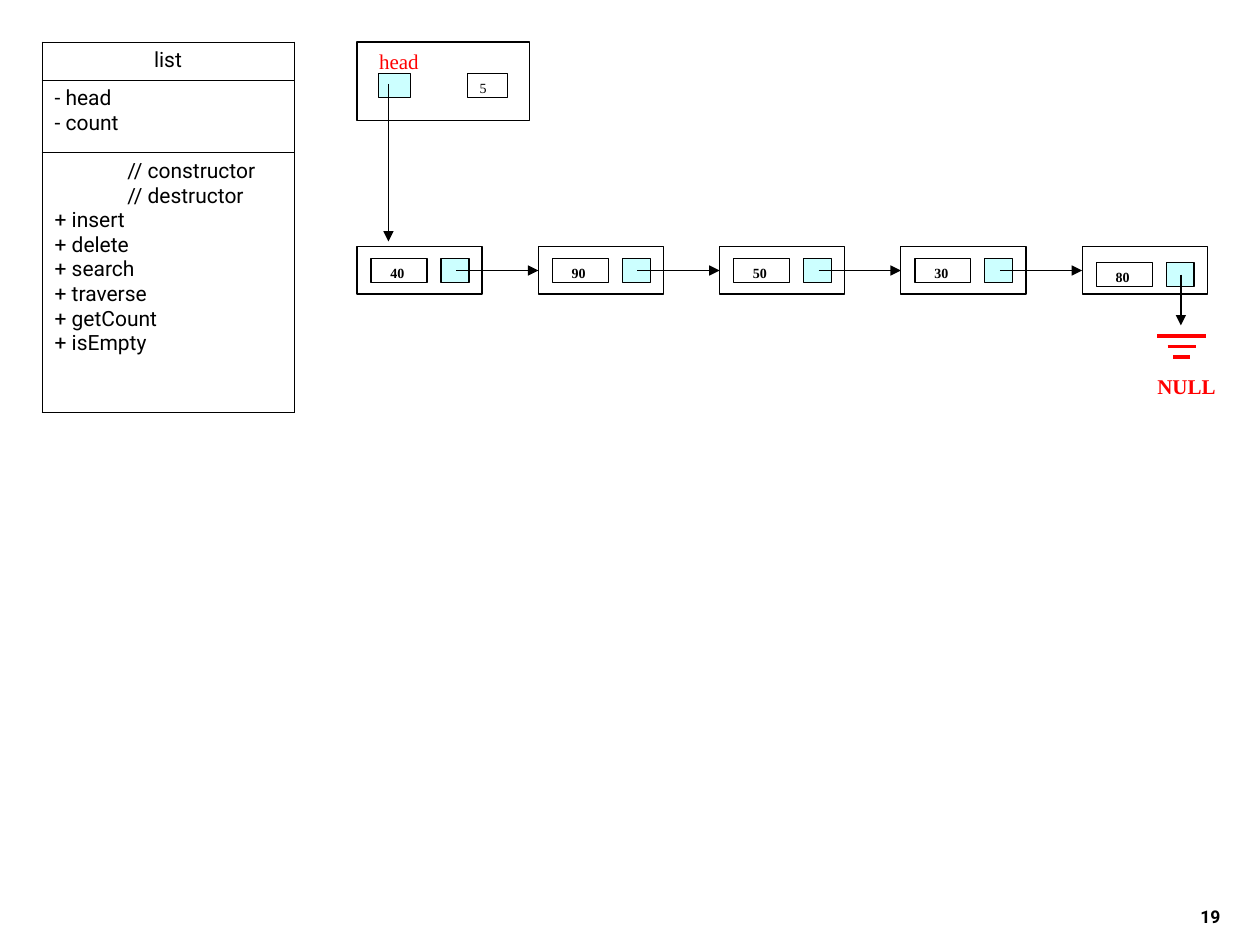
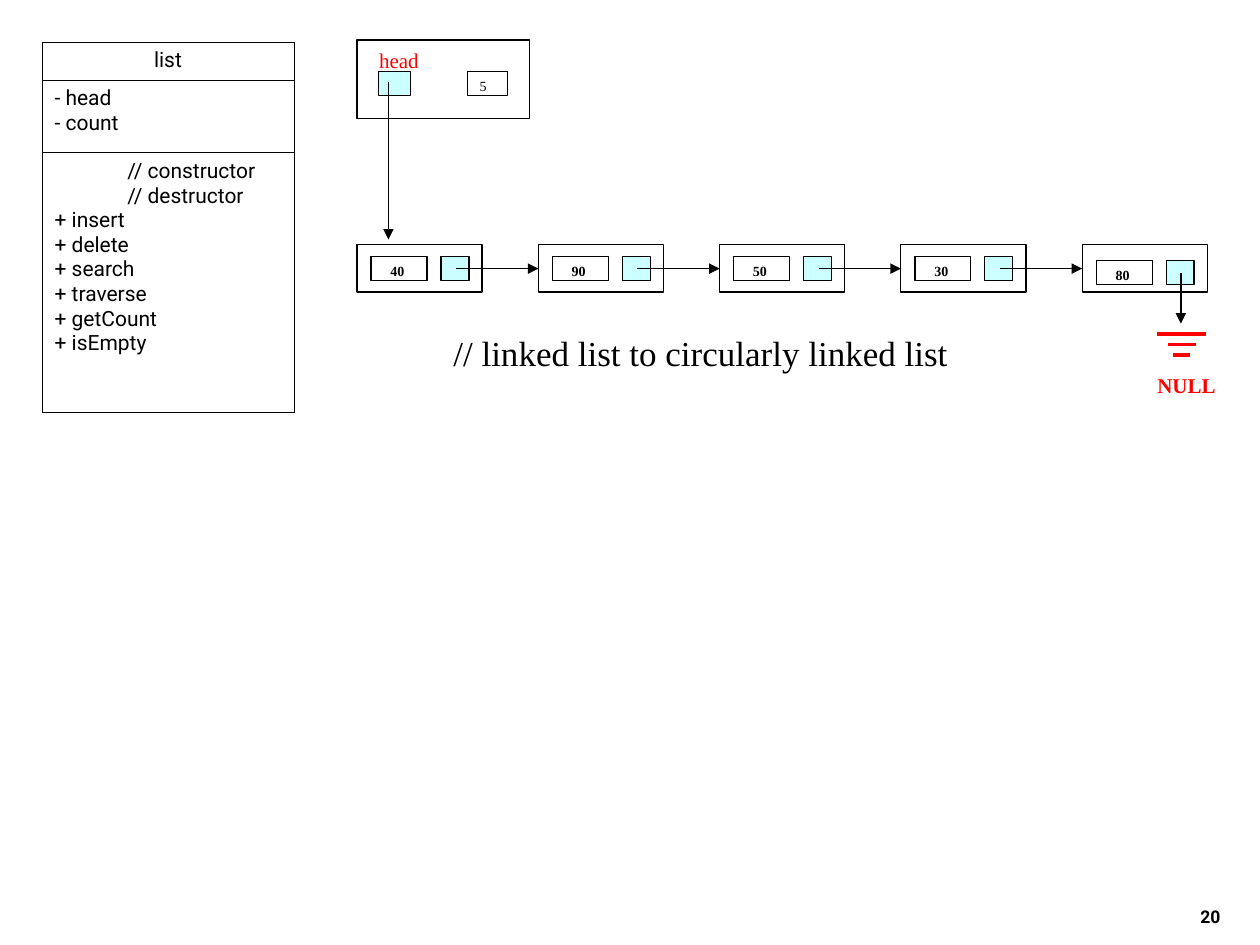
"""Build two slides showing a linked list class and its node chain."""
from dataclasses import dataclass

from lxml import etree
from pptx import Presentation
from pptx.dml.color import RGBColor
from pptx.enum.shapes import MSO_CONNECTOR, MSO_SHAPE
from pptx.enum.text import MSO_ANCHOR, PP_ALIGN
from pptx.oxml import parse_xml
from pptx.oxml.ns import nsdecls, qn
from pptx.util import Pt


@dataclass(frozen=True)
class Theme:
    ink: RGBColor = RGBColor(0, 0, 0)
    paper: RGBColor = RGBColor(255, 255, 255)
    pointer: RGBColor = RGBColor(0xCC, 0xFF, 0xFF)
    accent: RGBColor = RGBColor(255, 0, 0)
    sans: str = "Roboto"
    serif: str = "Times New Roman"
    value_size: int = 8
    number_size: int = 10
    label_size: int = 12
    caption_size: int = 20
    thin: float = 0.75
    thick: float = 2
    table_border: float = 0.45


theme = Theme()


def write(frame, lines, size, font=theme.serif, color=theme.ink, bold=False,
          align=PP_ALIGN.LEFT, anchor=MSO_ANCHOR.TOP):
    frame.word_wrap = True
    frame.vertical_anchor = anchor
    for position, (text, indent) in enumerate(lines):
        paragraph = frame.paragraphs[0] if position == 0 else frame.add_paragraph()
        paragraph.alignment = align
        if indent:
            paragraph._p.get_or_add_pPr().set("marL", str(Pt(indent)))
        run = paragraph.add_run()
        run.text = text
        run.font.size = Pt(size)
        run.font.name = font
        run.font.bold = bold
        run.font.color.rgb = color


def add_box(shapes, left, top, width, height, fill, outlined=True):
    box = shapes.add_shape(MSO_SHAPE.RECTANGLE, Pt(left), Pt(top), Pt(width), Pt(height))
    box.shadow.inherit = False
    box.fill.solid()
    box.fill.fore_color.rgb = fill
    if outlined:
        box.line.color.rgb = theme.ink
        box.line.width = Pt(theme.thin)
    else:
        box.line.fill.background()
    return box


class_rows = [
    (21.6, PP_ALIGN.CENTER, [("list", 0)]),
    (41.6, PP_ALIGN.LEFT, [("- head", 0), ("- count", 0)]),
    (148.5, PP_ALIGN.LEFT, [("// constructor", 41.6), ("// destructor", 41.6)]
     + [(f"+ {method}", 0) for method in
        ("insert", "delete", "search", "traverse", "getCount", "isEmpty")]),
]

values = ["40", "90", "50", "30", "80"]
chain_left, chain_top, pitch = 204, 141, 103.6
node_width, node_height, cell_height = 71.5, 27, 13.7

cells = [
    (204, 24, 98.7, 45, theme.paper, "", 0, False),
    (267, 42, 23, cell_height, theme.paper, "5", 0, False),
    (216.2, 42, 18.5, cell_height, theme.pointer, "", 0, False),
]
links = [(222, 48, 222, 138, theme.ink, theme.thin, True)]
for index, value in enumerate(values):
    is_last = index == len(values) - 1
    left = chain_left + index * pitch
    cell_top = chain_top + (9 if is_last else 6.8)
    cells += [
        (left, chain_top, node_width, node_height, theme.paper, "", 0, False),
        (left + 8, cell_top, 32, cell_height, theme.paper, value, 4, True),
        (left + 48, cell_top, 16, cell_height, theme.pointer, "", 0, False),
    ]
    if is_last:
        links.append((674.8, 157, 674.8, 186, theme.ink, theme.thin, True))
    else:
        links.append((left + 56.6, 154.6, left + pitch, 154.6, theme.ink, theme.thin, True))
for step, half_width in enumerate((14, 8, 4.7)):
    bar_y = 191.9 + 6 * step
    links.append((675.2 - half_width, bar_y, 675.2 + half_width, bar_y,
                  theme.accent, theme.thick, False))

labels = [
    ("head", 203, 24.5, 50, False, PP_ALIGN.CENTER),
    ("NULL", 654.3, 210.2, 52, True, PP_ALIGN.LEFT),
]

pages = [
    ("19", "", 0),
    ("20", "// linked list to circularly linked list", 1.1),
]

deck = Presentation()
deck.slide_width, deck.slide_height = Pt(720), Pt(540)

for number, caption, lift in pages:
    slide = deck.slides.add_slide(deck.slide_layouts[6])
    slide.background.fill.solid()
    slide.background.fill.fore_color.rgb = theme.paper

    page_number = slide.shapes.add_textbox(Pt(554.4), Pt(497.5), Pt(150), Pt(36))
    write(page_number.text_frame, [(number, 0)], theme.number_size, theme.sans,
          bold=True, align=PP_ALIGN.RIGHT, anchor=MSO_ANCHOR.BOTTOM)

    if caption:
        caption_box = add_box(slide.shapes, 252, 186, 315, 152.6, theme.paper, outlined=False)
        write(caption_box.text_frame, [(caption, 0)], theme.caption_size)

    diagram = slide.shapes.add_group_shape()
    for left, top, width, height, fill, value, indent, bold in cells:
        cell_box = add_box(diagram.shapes, left, top, width, height, fill)
        if value:
            write(cell_box.text_frame, [(value, indent)], theme.value_size, bold=bold)

    for x1, y1, x2, y2, color, weight, has_arrow in links:
        link = diagram.shapes.add_connector(
            MSO_CONNECTOR.STRAIGHT, Pt(x1), Pt(y1), Pt(x2), Pt(y2))
        link.line.color.rgb = color
        link.line.width = Pt(weight)
        if has_arrow:
            etree.SubElement(link.line._get_or_add_ln(), qn("a:tailEnd"), type="triangle")
        etree.SubElement(link._element.spPr, qn("a:effectLst"))

    for text, left, top, width, bold, align in labels:
        label = diagram.shapes.add_textbox(Pt(left), Pt(top), Pt(width), Pt(21.6))
        write(label.text_frame, [(text, 0)], theme.label_size,
              color=theme.accent, bold=bold, align=align)
    diagram.top -= Pt(lift)

    class_table = slide.shapes.add_table(
        len(class_rows), 1, Pt(24), Pt(24), Pt(144), Pt(211.7)).table
    class_table.first_row = class_table.horz_banding = False
    for row, (height, align, lines) in enumerate(class_rows):
        class_table.rows[row].height = Pt(height)
        section = class_table.cell(row, 0)
        write(section.text_frame, lines, theme.label_size, theme.sans, align=align)
        properties = section._tc.get_or_add_tcPr()
        for side in ("lnL", "lnR", "lnT", "lnB"):
            properties.append(parse_xml(
                f'<a:{side} {nsdecls("a")} w="{Pt(theme.table_border)}"><a:solidFill>'
                f'<a:srgbClr val="{theme.ink}"/></a:solidFill></a:{side}>'))
        section.fill.background()

deck.save("out.pptx")
